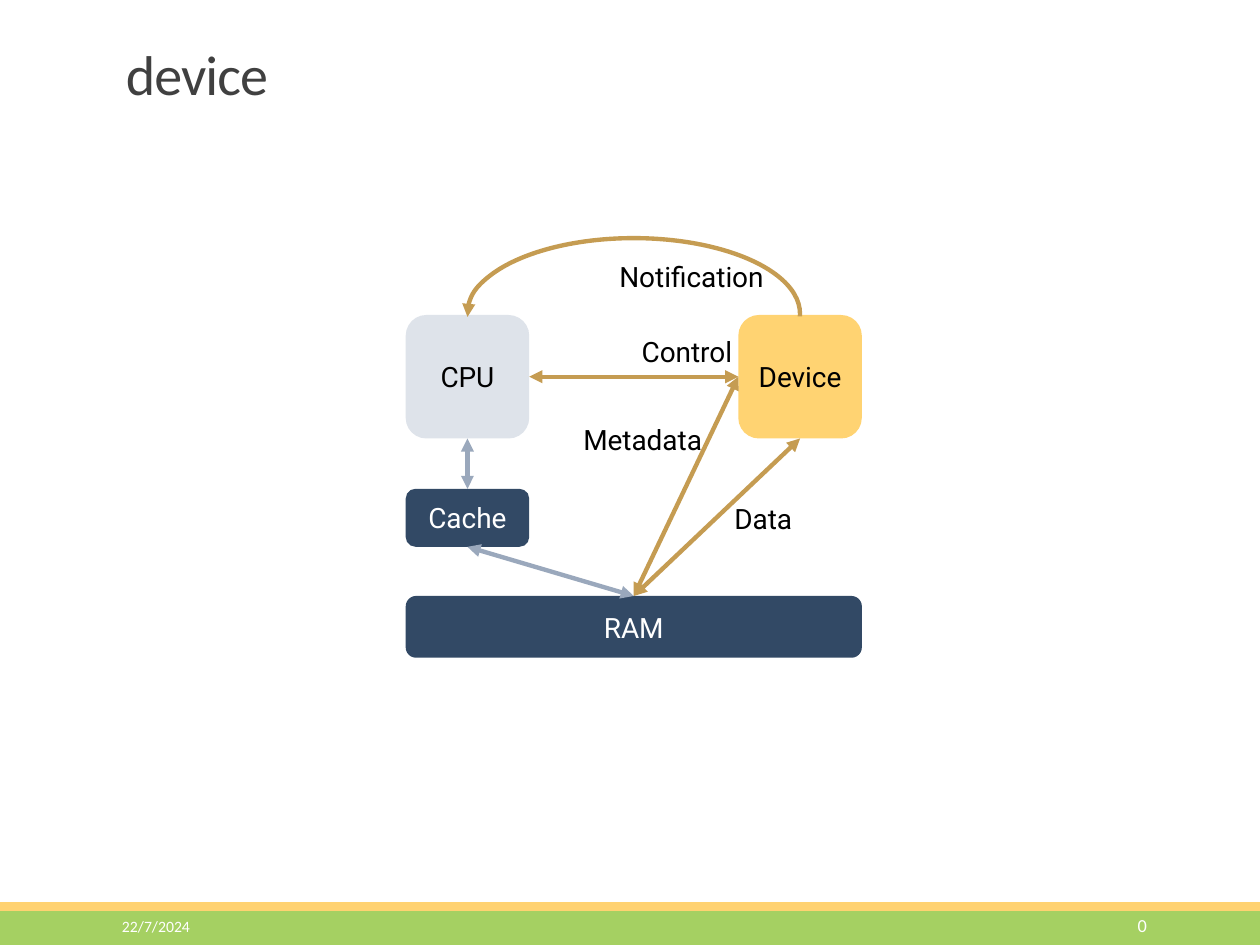
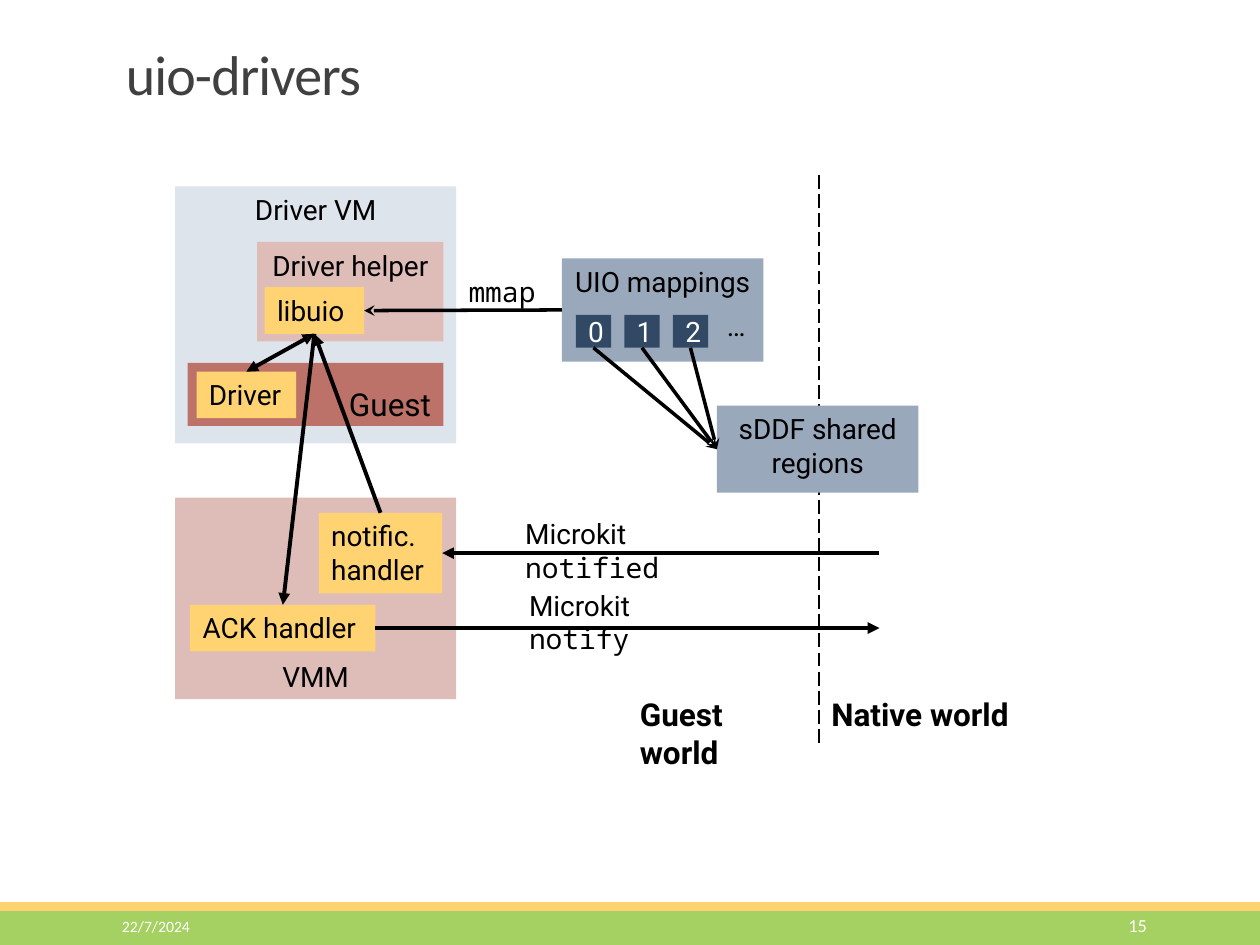
from dataclasses import dataclass

from lxml.etree import SubElement
from pptx import Presentation
from pptx.dml.color import RGBColor
from pptx.enum.dml import MSO_LINE
from pptx.enum.shapes import MSO_CONNECTOR, MSO_SHAPE
from pptx.enum.text import MSO_ANCHOR, PP_ALIGN
from pptx.oxml.ns import qn
from pptx.util import Inches, Pt


@dataclass(frozen=True)
class Theme:
    black: str = "000000"
    white: str = "FFFFFF"
    grey: str = "404040"
    green: str = "A5D062"
    amber: str = "FFD271"
    gold: str = "FFD372"
    bronze: str = "C59C52"
    navy: str = "324965"
    steel: str = "9AA8BC"
    mist: str = "DEE3EA"
    haze: str = "DEE4EB"
    rose: str = "DEBDB9"
    brick: str = "BC7268"
    sans: str = "Roboto"
    mono: str = "Noto Sans Mono"
    head: str = "Calibri"
    title: float = 32
    large: float = 18
    body: float = 16
    page: float = 10.5
    date: float = 9


WIDE, HIGH = 10, 7.5
COLS, ROWS = 100, 75
LEFT, MID, RIGHT = PP_ALIGN.LEFT, PP_ALIGN.CENTER, PP_ALIGN.RIGHT
TOP, CORE, BASE = MSO_ANCHOR.TOP, MSO_ANCHOR.MIDDLE, MSO_ANCHOR.BOTTOM
RECT, ROUND = MSO_SHAPE.RECTANGLE, MSO_SHAPE.ROUNDED_RECTANGLE
SIDES = {"top": (0, 0.5, 0), "left": (1, 0, 0.5), "base": (2, 0.5, 1), "right": (3, 1, 0.5)}


def put(item, form):
    for key, value in form.items():
        setattr(item, key, value)


def col(n):
    return Inches(n * WIDE / COLS)


def row(n):
    return Inches(n * HIGH / ROWS)


def place(at):
    x, y, w, h = at
    return col(x), row(y), col(w), row(h)


class Deck:
    def __init__(self, theme):
        self.theme = theme
        self.show = Presentation()
        put(self.show, {"slide_width": Inches(WIDE), "slide_height": Inches(HIGH)})
        self.slide = None

    def start(self, title, page):
        t = self.theme
        self.slide = self.show.slides.add_slide(self.show.slide_layouts[6])
        self.box((0, 72.1, COLS, 2.9), t.green)
        self.box((0, 71.6, COLS, 0.7), t.amber)
        self.text((9, 3.5, 62.2, 5.5), title, font=t.head, size=t.title,
                  ink=t.grey, lead=0.85, track=-50)
        foot = {"font": t.head, "ink": t.white, "hang": CORE}
        self.text((8.7, 72.3, 20.3, 2.4), "22/7/2024", size=t.date, **foot)
        self.text((81.2, 72.3, 10.8, 2.3), page, size=t.page, align=RIGHT, **foot)

    def label(self, shape, words, font=None, size=None, ink=None, align=LEFT,
              hang=TOP, bold=False, wrap=True, lead=None, track=None):
        t = self.theme
        frame = shape.text_frame
        put(frame, {"word_wrap": wrap, "vertical_anchor": hang})
        line = frame.paragraphs[0]
        put(line, {"alignment": align, "line_spacing": lead})
        parts = [(words, font or t.sans)] if isinstance(words, str) else words
        for part, face in parts:
            run = line.add_run()
            run.text = part
            put(run.font, {"name": face, "size": Pt(size or t.body), "bold": bold})
            run.font.color.rgb = RGBColor.from_string(ink or t.black)
            if track:
                run._r.get_or_add_rPr().set("spc", str(track))

    def text(self, at, words, **look):
        self.label(self.slide.shapes.add_textbox(*place(at)), words, **look)

    def box(self, at, fill, words=None, kind=RECT, **look):
        shape = self.slide.shapes.add_shape(kind, *place(at))
        shape.shadow.inherit = False
        shape.fill.solid()
        shape.fill.fore_color.rgb = RGBColor.from_string(fill)
        shape.line.fill.background()
        if words:
            self.label(shape, words, **look)
        return shape

    def stroke(self, shape, ink, width, head=None, tail=None, dash=None):
        shape.line.color.rgb = RGBColor.from_string(ink)
        put(shape.line, {"width": Pt(width), "dash_style": dash})
        edge = shape._element.spPr.get_or_add_ln()
        for tag, tip in (("a:headEnd", head), ("a:tailEnd", tail)):
            if tip:
                SubElement(edge, qn(tag), type=tip)

    def spot(self, end):
        if isinstance(end[1], str):
            box, side = end
            _, x, y = SIDES[side]
            return int(box.left + x * box.width), int(box.top + y * box.height)
        return col(end[0]), row(end[1])

    def link(self, start, end, ink, width, **tips):
        wire = self.slide.shapes.add_connector(
            MSO_CONNECTOR.STRAIGHT, *self.spot(start), *self.spot(end))
        for point, join in ((start, wire.begin_connect), (end, wire.end_connect)):
            if isinstance(point[1], str):
                join(point[0], SIDES[point[1]][0])
        self.stroke(wire, ink, width, **tips)
        SubElement(wire._element.spPr, qn("a:effectLst"))

    def arc(self, at, ink, width, turns, **tips):
        shape = self.slide.shapes.add_shape(MSO_SHAPE.ARC, *place(at))
        shape.shadow.inherit = False
        shape.fill.background()
        for i, turn in enumerate(turns):
            shape.adjustments[i] = turn
        frame = shape._element.spPr.get_or_add_xfrm()
        for flip in ("flipH", "flipV"):
            frame.set(flip, "1")
        self.stroke(shape, ink, width, **tips)


def device(deck):
    t = deck.theme
    deck.start("device", "0")
    look = {"kind": ROUND, "align": MID, "hang": CORE}
    near, far, side = 32.2, 58.6, 9.8
    ram = deck.box((near, 47.3, far + side - near, 4.9), t.navy, "RAM", ink=t.white, **look)
    dev = deck.box((far, 25, side, side), t.gold, "Device", **look)
    cpu = deck.box((near, 25, side, side), t.mist, "CPU", **look)
    cache = deck.box((near, 38.8, side, 4.6), t.navy, "Cache", ink=t.white, **look)

    both = {"head": "triangle", "tail": "triangle"}
    for start, end, ink in (
        ((cpu, "right"), (dev, "left"), t.bronze),
        ((cpu, "base"), (cache, "top"), t.steel),
        ((dev, "base"), (ram, "top"), t.bronze),
        ((cache, "base"), (ram, "top"), t.steel),
        ((dev, "left"), (ram, "top"), t.bronze),
    ):
        deck.link(start, end, ink, 2.5, **both)
    deck.arc((near + side / 2, 18.9, far - near, 12), t.bronze, 2.5,
             (215.34, 108.55), head="triangle")

    for x, y, w, words, align in (
        (49.8, 26, 9.3, "Control", RIGHT),
        (47.3, 20.1, 14.3, "Notification", RIGHT),
        (44.9, 33, 11.8, "Metadata", RIGHT),
        (57.3, 39.3, 7.1, "Data", LEFT),
    ):
        deck.text((x, y, w, 3.7), words, align=align, hang=CORE)


def drivers(deck):
    t = deck.theme
    deck.start("uio-drivers", "15")
    tall = 3.7
    deck.box((13.9, 14.8, 22.3, 20.4), t.haze, "Driver VM", align=MID)
    deck.box((14.9, 28.8, 20.3, 5), t.brick, "Guest", size=t.large,
             align=RIGHT, hang=CORE, lead=1.5)
    driver = deck.box((15.6, 29.5, 7.9, tall), t.gold, "Driver")
    deck.box((20.4, 19.2, 14.8, 7.9), t.rose, "Driver helper", align=MID)
    lib = deck.box((21, 22.8, 7.9, tall), t.gold, "libuio")
    maps = deck.box((44.6, 20.5, 16, 8.2), t.steel, "UIO mappings", align=MID)
    chips = [deck.box((45.7 + 3.85 * i, 25, 2.8, 2.6), t.navy, str(i),
                      ink=t.white, align=MID, hang=CORE) for i in range(3)]
    deck.box((13.9, 39.5, 22.3, 16), t.rose, "VMM", align=MID, hang=BASE)
    note = deck.box((25.3, 40.7, 9.8, 6.4), t.gold, "notific. handler")
    ack = deck.box((15.1, 48, 14.7, tall), t.gold, "ACK handler")

    deck.link((65, 13.9), (65, 59), t.black, 1, dash=MSO_LINE.LONG_DASH)
    shared = deck.box((56.9, 32.2, 16, 6.9), t.steel, "sDDF shared regions", align=MID)

    for start, end, tips in (
        ((lib, "base"), (driver, "top"), {"head": "triangle", "tail": "triangle"}),
        ((lib, "base"), (note, "top"), {"head": "triangle"}),
        ((lib, "base"), (ack, "top"), {"tail": "triangle"}),
        ((ack, "right"), (69.8, 49.85), {"tail": "triangle"}),
        ((69.8, 43.9), (note, "right"), {"tail": "triangle"}),
    ):
        deck.link(start, end, t.black, 2.25, **tips)
    deck.link((maps, "left"), (lib, "right"), t.black, 2, tail="stealth")
    for chip in chips:
        deck.link((chip, "base"), (shared, "left"), t.black, 2, tail="stealth")

    deck.text((56.7, 24, 3.5, tall), "…", wrap=False)
    deck.text((36.2, 21.3, 8.8, tall), "mmap", font=t.mono, wrap=False)
    for x, y, w, call in ((41, 46.2, 17.1, " notify"), (40.7, 40.5, 19.1, " notified")):
        deck.text((x, y, w, tall), [("Microkit", t.sans), (call, t.mono)])
    for x, w, words in ((49.8, 15.1, "Guest world"), (65, 16.3, "Native world")):
        deck.text((x, 54.7, w, 4), words, size=t.large, bold=True, wrap=False)


def main():
    deck = Deck(Theme())
    device(deck)
    drivers(deck)
    deck.show.save("out.pptx")


if __name__ == "__main__":
    main()
